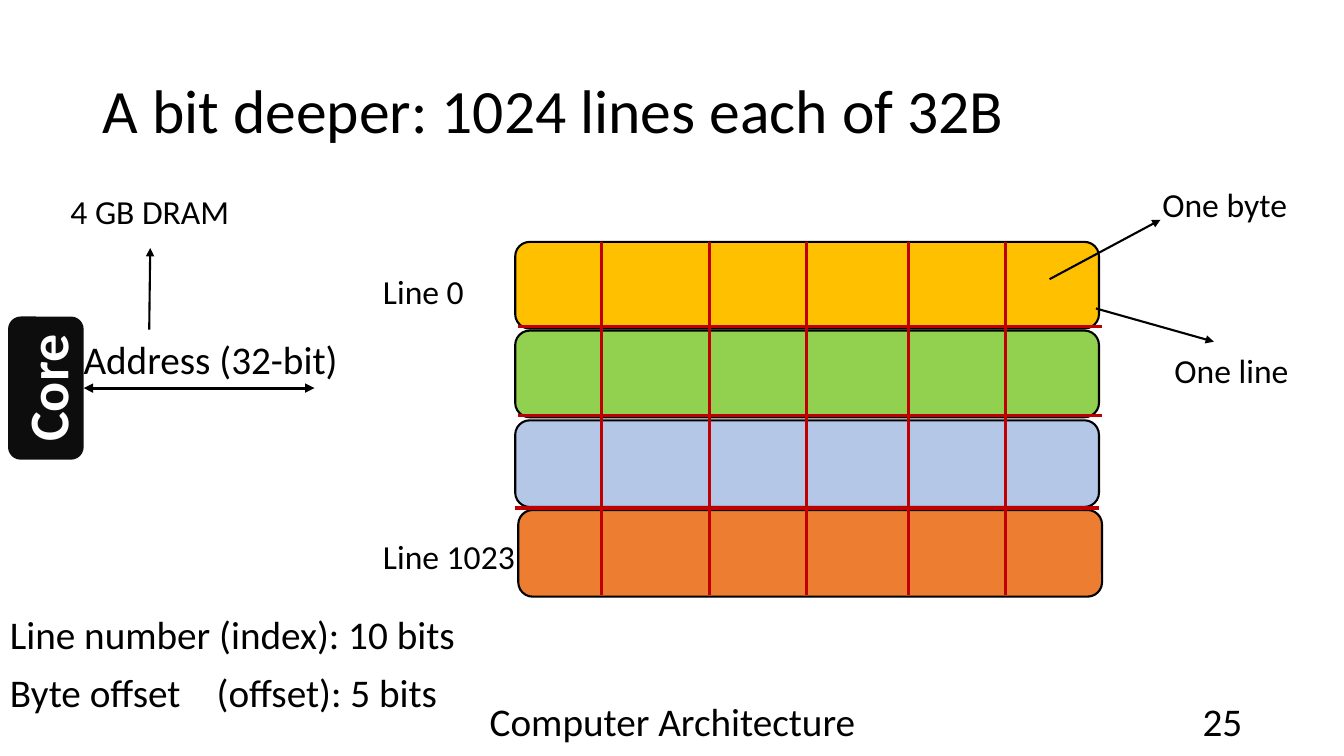
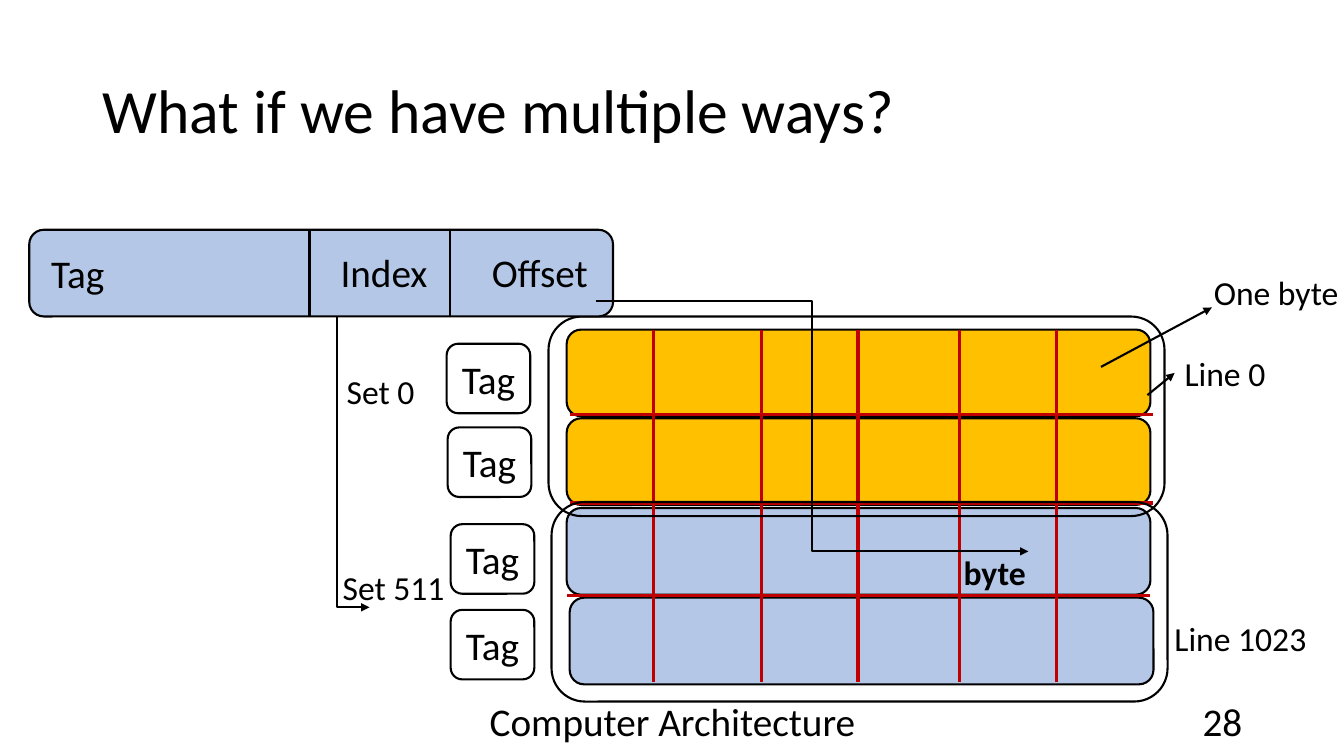
from dataclasses import dataclass

from lxml.etree import SubElement
from pptx import Presentation
from pptx.dml.color import RGBColor
from pptx.enum.shapes import MSO_CONNECTOR, MSO_SHAPE
from pptx.enum.text import MSO_ANCHOR, MSO_AUTO_SIZE, PP_ALIGN
from pptx.oxml.ns import qn
from pptx.util import Emu, Pt

EMU_PER_PX = 9144


@dataclass(frozen=True)
class Theme:
    font: str = "Calibri"
    black: str = "000000"
    white: str = "FFFFFF"
    core: str = "0D0D0D"
    amber: str = "FFC000"
    green: str = "92D050"
    blue: str = "B4C7E7"
    orange: str = "ED7D31"
    red: str = "C00000"
    title: int = 44
    core_label: int = 40
    body: int = 28
    label: int = 24
    thin: float = 1.5
    thick: float = 2.25


THEME = Theme()

ROW_W, ROW_H, ROW_PITCH = 579, 86, 88.5
COLUMN_RULES = (86, 193, 289, 390, 486)
ROW_RULES = ((3, 84), (3, 172), (0, 264))
COLUMN_RULE_H = 350


def px(n):
    return Emu(n * EMU_PER_PX)


def color(value):
    return RGBColor.from_string(value)


def style(p, size, text_color=THEME.black, bold=False, align=PP_ALIGN.LEFT):
    p.alignment = align
    p.font.name = THEME.font
    p.font.size = Pt(size)
    p.font.bold = bold
    p.font.color.rgb = color(text_color)


def add_label(s, text, x, y, w, size=THEME.label, bold=False, tab=None):
    h = 57 if size == THEME.body else 50
    tf = s.shapes.add_textbox(px(x), px(y), px(w), px(h)).text_frame
    tf.word_wrap = False
    tf.auto_size = MSO_AUTO_SIZE.SHAPE_TO_FIT_TEXT
    p = tf.paragraphs[0]
    p.text = text
    style(p, size, bold=bold)
    if tab:
        tabs = SubElement(p._p.get_or_add_pPr(), qn("a:tabLst"))
        SubElement(tabs, qn("a:tab"), pos=str(px(tab)), algn="l")


def add_box(s, x, y, w, h, fill=None, line=THEME.black):
    sp = s.shapes.add_shape(MSO_SHAPE.ROUNDED_RECTANGLE, px(x), px(y), px(w), px(h))
    sp.shadow.inherit = False
    if fill:
        sp.fill.solid()
        sp.fill.fore_color.rgb = color(fill)
    else:
        sp.fill.background()
    if line:
        sp.line.color.rgb = color(line)
        sp.line.width = Pt(THEME.thin)
    else:
        sp.line.fill.background()
    return sp


def write_in_box(sp, text, size, text_color=THEME.black, bold=False):
    tf = sp.text_frame
    tf.vertical_anchor = MSO_ANCHOR.MIDDLE
    p = tf.paragraphs[0]
    p.text = text
    style(p, size, text_color, bold, PP_ALIGN.CENTER)


def add_line(s, start, end, line=THEME.black, width=THEME.thin, ends=(),
             kind=MSO_CONNECTOR.STRAIGHT):
    cxn = s.shapes.add_connector(kind, *map(px, start + end))
    cxn.line.color.rgb = color(line)
    cxn.line.width = Pt(width)
    ln = cxn.line._get_or_add_ln()
    for end_name in ends:
        SubElement(ln, qn(f"a:{end_name}"), type="triangle")
    SubElement(cxn._element.spPr, qn("a:effectLst"))
    return cxn


def add_arrow(s, start, end, kind=MSO_CONNECTOR.STRAIGHT):
    return add_line(s, start, end, ends=("tailEnd",), kind=kind)


def add_down_right_arrow(s, start, end):
    (x1, y1), (x2, y2) = start, end
    w, h = x2 - x1, y2 - y1
    left, top = (x1 + x2 - h) // 2, (y1 + y2 - w) // 2
    cxn = add_arrow(s, (left + h, top), (left, top + w), MSO_CONNECTOR.ELBOW)
    spPr = cxn._element.spPr
    spPr.find(qn("a:xfrm")).set("rot", str(270 * 60000))
    spPr.find(qn("a:prstGeom")).set("prst", "bentConnector2")


def add_cache(s, left, top, fills):
    last = len(fills) - 1
    for i, fill in enumerate(fills):
        x = left + 3 if i == last else left
        add_box(s, x, top + round(i * ROW_PITCH), ROW_W, ROW_H, fill)
    for dx in COLUMN_RULES:
        add_line(s, (left + dx, top), (left + dx, top + COLUMN_RULE_H),
                 THEME.red, THEME.thick)
    for dx, dy in ROW_RULES:
        add_line(s, (left + dx, top + dy), (left + dx + ROW_W, top + dy),
                 THEME.red, THEME.thick)
    add_arrow(s, (left + 530, top + 37), (left + 640, top - 22))
    add_label(s, "One byte", left + 632, top - 62, 145)


def add_footer(s, text, x, w, align):
    tf = s.shapes.add_textbox(px(x), px(695), px(w), px(40)).text_frame
    tf.word_wrap = True
    tf.vertical_anchor = MSO_ANCHOR.MIDDLE
    p = tf.paragraphs[0]
    p.text = text
    style(p, THEME.body, align=align)


def add_slide(prs, title, number):
    s = prs.slides.add_slide(prs.slide_layouts[5])
    sp = s.shapes.title
    sp.left, sp.top, sp.width, sp.height = map(px, (92, 40, 1150, 145))
    tf = sp.text_frame
    tf.auto_size = MSO_AUTO_SIZE.NONE
    tf.vertical_anchor = MSO_ANCHOR.MIDDLE
    p = tf.paragraphs[0]
    p.text = title
    p.line_spacing = 0.9
    style(p, THEME.title)
    add_footer(s, "Computer Architecture", 442, 450, PP_ALIGN.CENTER)
    add_footer(s, str(number), 942, 300, PP_ALIGN.RIGHT)
    return s


def build_lines_slide(prs):
    s = add_slide(prs, "A bit deeper: 1024 lines each of 32B", 25)
    add_cache(s, 511, 240, (THEME.amber, THEME.green, THEME.blue, THEME.orange))

    core = add_box(s, 8, 314, 75, 142, THEME.core, line=None)
    write_in_box(core, "Core", THEME.core_label, THEME.white, bold=True)
    core.text_frame._txBody.bodyPr.set("vert", "vert270")
    bus = add_line(s, (83, 385), (312, 385), width=THEME.thick,
                   ends=("headEnd", "tailEnd"))
    bus.begin_connect(core, 3)

    add_arrow(s, (1087, 306), (1204, 339))
    add_arrow(s, (148, 327), (149, 246))
    for text, x, y, w in (("Line 0", 370, 264, 101), ("Line 1023", 370, 527, 152),
                          ("One line", 1155, 342, 134), ("4 GB DRAM", 60, 184, 179)):
        add_label(s, text, x, y, w)
    add_label(s, "Address (32-bit)", 73, 328, 275, THEME.body)
    add_label(s, "Line number (index): 10 bits", 0, 601, 467, THEME.body)
    add_label(s, "Byte offset\t(offset): 5 bits", 0, 658, 449, THEME.body, tab=205)


def build_ways_slide(prs):
    s = add_slide(prs, "What if we have multiple ways?", 28)
    add_cache(s, 562, 327, (THEME.amber, THEME.amber, THEME.blue, THEME.blue))
    for x, y in ((544, 314), (547, 498)):
        add_box(s, x, y, 611, 198)
    add_arrow(s, (1138, 392), (1165, 370))
    for text, x, y, w in (("Line 0", 1165, 345, 101), ("Line 1023", 1155, 608, 152),
                          ("Set 0", 334, 363, 88), ("Set 511", 330, 558, 122)):
        add_label(s, text, x, y, w)

    add_box(s, 29, 228, ROW_W, ROW_H, THEME.blue)
    for x in (307, 446):
        add_line(s, (x, 228), (x, 314))
    for text, x, y, w in (("Tag", 41, 242, 73), ("Index", 328, 241, 107),
                          ("Offset", 478, 241, 117)):
        add_label(s, text, x, y, w, THEME.body)

    add_down_right_arrow(s, (335, 314), (367, 603))
    add_arrow(s, (591, 299), (1020, 547), MSO_CONNECTOR.ELBOW)
    add_label(s, "byte", 946, 543, 90, bold=True)
    for x, y in ((443, 341), (444, 424), (447, 520), (447, 605)):
        write_in_box(add_box(s, x, y, 83, 69, THEME.white), "Tag", THEME.body)


def main():
    prs = Presentation()
    prs.slide_width, prs.slide_height = px(1333), px(750)
    build_lines_slide(prs)
    build_ways_slide(prs)
    prs.save("out.pptx")


if __name__ == "__main__":
    main()
